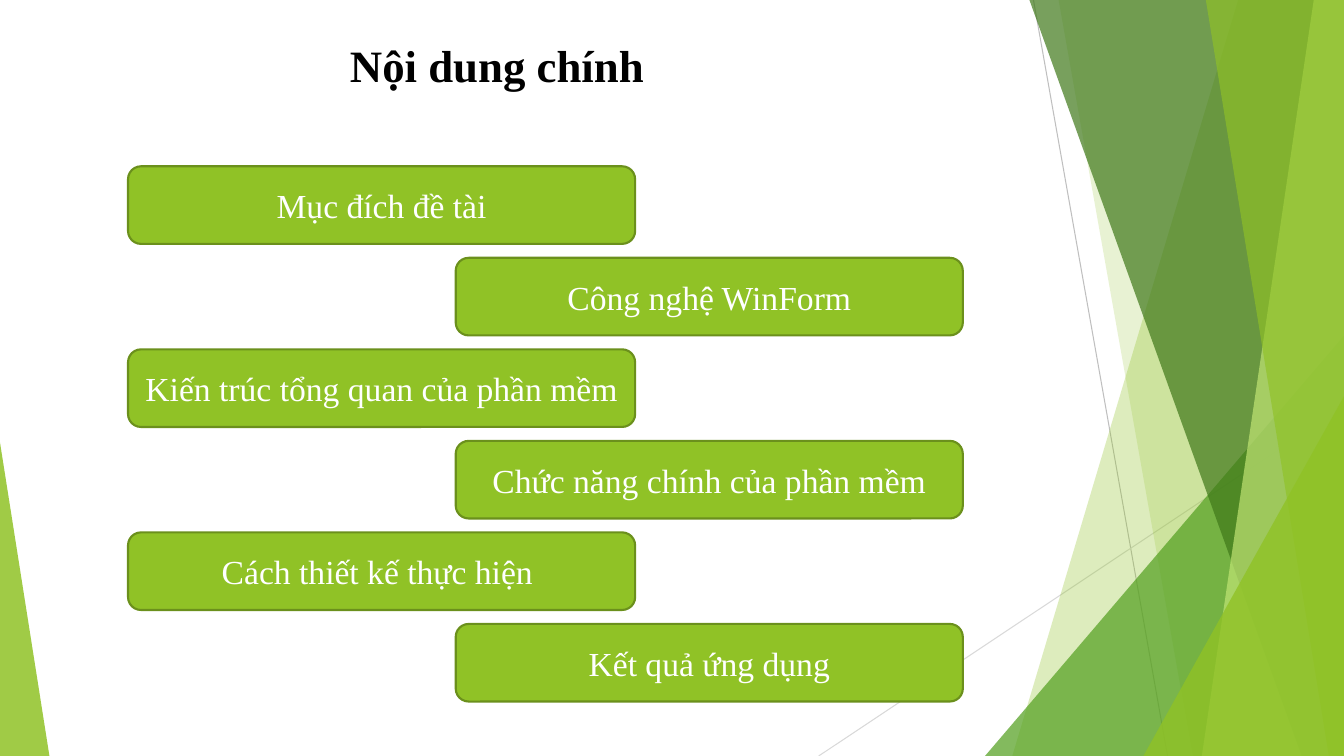
from dataclasses import dataclass

from lxml.etree import SubElement
from pptx import Presentation
from pptx.dml.color import RGBColor
from pptx.enum.shapes import MSO_CONNECTOR, MSO_SHAPE
from pptx.enum.text import MSO_ANCHOR, MSO_AUTO_SIZE, PP_ALIGN
from pptx.oxml.ns import qn
from pptx.util import Inches, Pt

WIDTH, HEIGHT = 13.33, 7.5


@dataclass(frozen=True)
class Theme:
    font: str = "Times New Roman"
    title_size: int = 32
    topic_size: int = 24
    title_text: str = "000000"
    topic_text: str = "FFFFFF"
    lime: str = "90C226"
    lime_edge: str = "6B901C"
    pale_lime: str = "C0E474"
    green: str = "54A021"
    dark_green: str = "3F7819"
    gray: str = "BFBFBF"
    light_gray: str = "D9D9D9"


THEME = Theme()

TOPICS = [
    "Mục đích đề tài",
    "Công nghệ WinForm",
    "Kiến trúc tổng quan của phần mềm",
    "Chức năng chính của phần mềm",
    "Cách thiết kế thực hiện ",
    "Kết quả ứng dụng",
]

# Topic grid: two overlapping columns, one row for each topic
COLUMNS = (1.27, 4.52)
FIRST_ROW, ROW_STEP = 1.65, 0.908
TOPIC_WIDTH, TOPIC_HEIGHT = 5.03, 0.77


def paint(shape, color, opacity=100):
    """Fill a shape without an outline, at an opacity in percent."""
    shape.shadow.inherit = False
    shape.line.fill.background()
    shape.fill.solid()
    shape.fill.fore_color.rgb = RGBColor.from_string(color)
    if opacity < 100:
        fill_color = shape.fill._xPr.find(qn("a:solidFill"))[0]
        SubElement(fill_color, qn("a:alpha"), val=str(opacity * 1000))


def write(shape, text, size, color, bold=False):
    """Put one centred paragraph in a shape."""
    frame = shape.text_frame
    frame.text = text
    frame.word_wrap = True
    para = frame.paragraphs[0]
    para.alignment = PP_ALIGN.CENTER
    font = para.runs[0].font
    font.name, font.size, font.bold = THEME.font, Pt(size), bold
    font.color.rgb = RGBColor.from_string(color)


def add_hairline(page, start, end, color):
    line = page.shapes.add_connector(
        MSO_CONNECTOR.STRAIGHT, *(Inches(value) for value in start + end))
    line.line.color.rgb = RGBColor.from_string(color)
    line.line.width = Pt(0.75)
    SubElement(line._element.spPr, qn("a:effectLst"))


def add_band(page, top_x, bottom_x, color, opacity):
    """Full-height band from a slanted left edge to the slide's right edge."""
    builder = page.shapes.build_freeform(Inches(top_x), 0)
    corners = [(WIDTH, 0), (WIDTH, HEIGHT), (bottom_x, HEIGHT)]
    builder.add_line_segments([(Inches(x), Inches(y)) for x, y in corners])
    paint(builder.convert_to_shape(), color, opacity)


def add_corner(page, left, top, width, apex, color, opacity):
    """Triangle standing on the slide's bottom edge."""
    corner = page.shapes.add_shape(
        MSO_SHAPE.ISOSCELES_TRIANGLE, Inches(left), Inches(top),
        Inches(width), Inches(HEIGHT - top))
    corner.adjustments[0] = apex
    paint(corner, color, opacity)


def add_decoration(page):
    add_hairline(page, (10.25, 0), (11.58, HEIGHT), THEME.gray)
    add_hairline(page, (WIDTH, 4.03), (8.12, HEIGHT), THEME.light_gray)
    add_band(page, 12.28, 10.04, THEME.lime, 30)
    add_band(page, 10.5, 11.83, THEME.lime, 20)
    add_corner(page, 9.77, 3.33, 3.56, 1, THEME.green, 72)
    add_band(page, 10.21, 12.91, THEME.dark_green, 70)
    add_band(page, 13.03, 11.92, THEME.pale_lime, 70)
    add_band(page, 11.96, 13.18, THEME.lime, 65)
    add_corner(page, 11.34, 3.93, 1.99, 1, THEME.lime, 80)
    add_corner(page, 0, 4.39, 0.49, 0, THEME.lime, 85)


def add_title(page, text):
    title = page.shapes.title
    title.left, title.top = Inches(1.83), Inches(0.32)
    title.width, title.height = Inches(6.2), Inches(0.64)
    write(title, text, THEME.title_size, THEME.title_text, bold=True)
    title.text_frame.vertical_anchor = MSO_ANCHOR.TOP
    title.text_frame.auto_size = MSO_AUTO_SIZE.SHAPE_TO_FIT_TEXT


def add_topic(page, row, text):
    left = COLUMNS[row % len(COLUMNS)]
    box = page.shapes.add_shape(
        MSO_SHAPE.ROUNDED_RECTANGLE, Inches(left),
        Inches(FIRST_ROW + row * ROW_STEP),
        Inches(TOPIC_WIDTH), Inches(TOPIC_HEIGHT))
    paint(box, THEME.lime)
    box.line.color.rgb = RGBColor.from_string(THEME.lime_edge)
    box.line.width = Pt(1.5)
    write(box, text, THEME.topic_size, THEME.topic_text)
    box.text_frame.vertical_anchor = MSO_ANCHOR.MIDDLE


def main():
    deck = Presentation()
    deck.slide_width, deck.slide_height = Inches(WIDTH), Inches(HEIGHT)
    page = deck.slides.add_slide(deck.slide_layouts.get_by_name("Title Only"))

    # Green facets at the slide's edges
    add_decoration(page)

    # Heading and alternating topics
    add_title(page, "Nội dung chính")
    for row, topic in enumerate(TOPICS):
        add_topic(page, row, topic)

    deck.save("out.pptx")


main()
